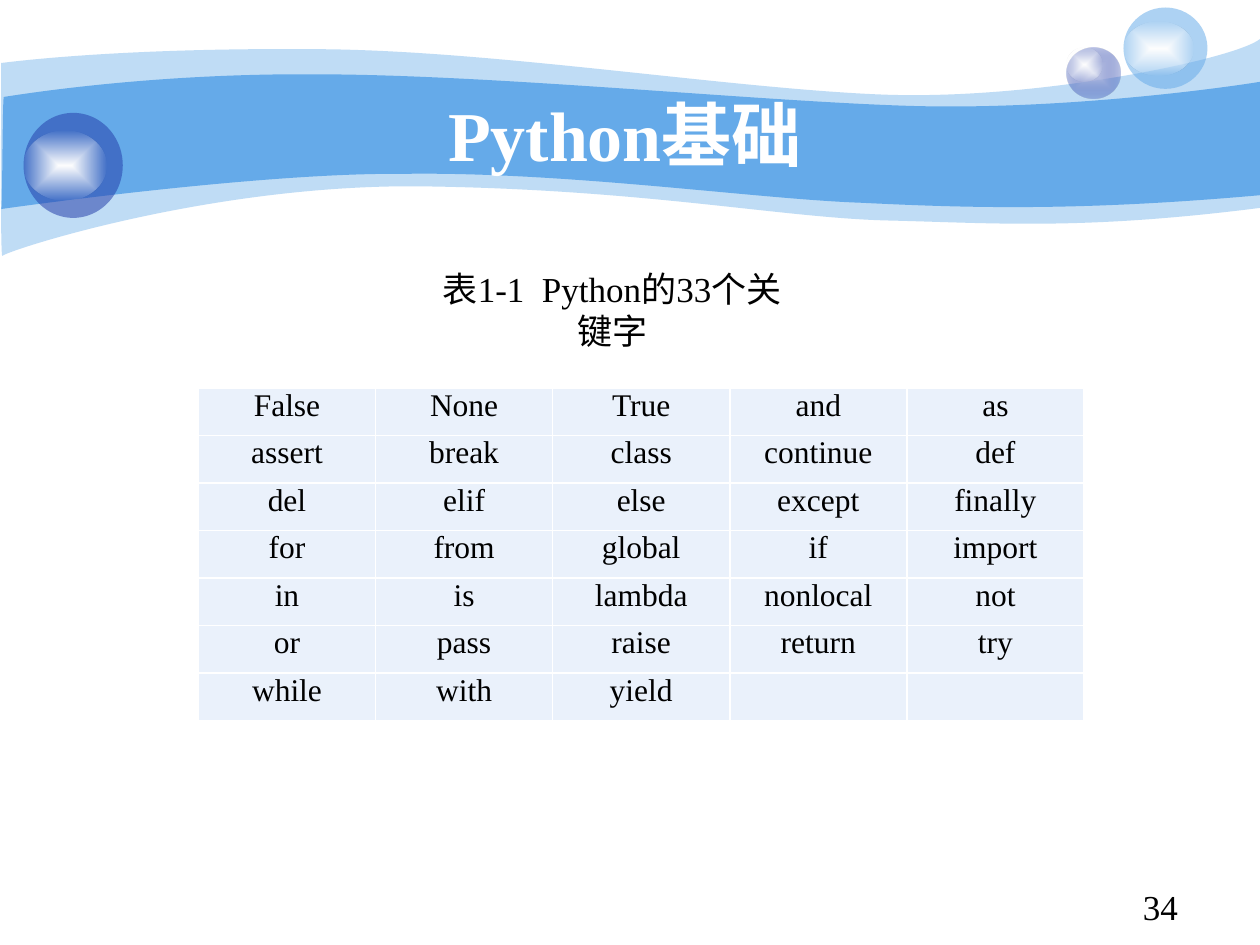
from lxml import etree
from pptx import Presentation
from pptx.dml.color import RGBColor
from pptx.enum.shapes import MSO_SHAPE
from pptx.enum.text import MSO_ANCHOR, MSO_AUTO_SIZE, PP_ALIGN
from pptx.oxml import parse_xml
from pptx.oxml.ns import nsdecls, qn
from pptx.util import Pt

SKY = RGBColor(0x65, 0xAA, 0xE9)
NAVY = RGBColor(0x23, 0x3D, 0xA9)
LAVENDER = RGBColor(0xC7, 0xCE, 0xE9)
CELL_BLUE = RGBColor(0xEA, 0xF1, 0xFB)
WHITE = RGBColor(0xFF, 0xFF, 0xFF)
BLACK = RGBColor(0, 0, 0)
FONT = "Times New Roman"


def paint(shape, *stops):
    """Fill with one (colour, opacity %) pair, or with a gradient of two from the centre."""
    shape.shadow.inherit = False
    shape.line.fill.background()
    colors = [f'<a:srgbClr val="{color}"><a:alpha val="{opacity * 1000}"/></a:srgbClr>'
              for color, opacity in stops]
    if len(colors) == 1:
        fill = f'<a:solidFill {nsdecls("a")}>{colors[0]}</a:solidFill>'
    else:
        fill = (f'<a:gradFill {nsdecls("a")} rotWithShape="1"><a:gsLst>'
                f'<a:gs pos="0">{colors[0]}</a:gs><a:gs pos="100000">{colors[1]}</a:gs></a:gsLst>'
                '<a:path path="shape"><a:fillToRect l="50000" t="50000" r="50000" b="50000"/>'
                '</a:path></a:gradFill>')
    properties = shape._element.spPr
    geometry = properties.find(qn("a:custGeom"))
    if geometry is None:
        geometry = properties.find(qn("a:prstGeom"))
    geometry.addnext(parse_xml(fill))


def write(text_frame, text, size, color, align=PP_ALIGN.CENTER, bold=False):
    text_frame.text = text
    paragraph = text_frame.paragraphs[0]
    paragraph.alignment = align
    font = paragraph.runs[0].font
    font.name, font.size, font.bold = FONT, Pt(size), bold
    font.color.rgb = color
    return paragraph


presentation = Presentation()
presentation.slide_width, presentation.slide_height = Pt(720), Pt(540)
slide = presentation.slides.add_slide(presentation.slide_layouts[5])
shapes = slide.shapes

# Wavy bands: start point, then cubic curves (three points) or straight lines (one point)
BANDS = [
    (41, (0.7, 36), [
        [(18, 33.8), (78.5, 27.4), (177.8, 28.1)], [(277.9, 28.1), (414.7, 50.4), (503.3, 54)],
        [(591.8, 57.6), (705.6, 33.8), (720, 22.3)], [(720, 118.8)],
        [(617.8, 131.8), (567.4, 127.4), (507.6, 126)],
        [(447.8, 124.6), (371.5, 108.7), (247.7, 106.6)],
        [(124.6, 103.7), (3.6, 143.3), (1.4, 146.2)], [(0, 149.8), (0.7, 54), (0.7, 36)]]),
    (100, (2.2, 55.4), [
        [(3.6, 55.4), (80.6, 41.8), (180, 42.5)], [(279.4, 42.5), (429.1, 57.6), (517.7, 60.5)],
        [(606.2, 63.4), (702.7, 49.7), (720, 46.8)], [(720, 111.6)],
        [(614.2, 121), (551.5, 118.8), (491.8, 115.9)],
        [(432, 113.8), (322.6, 97.9), (229.7, 99.4)],
        [(147.6, 98.6), (0, 119.5), (0.7, 119.5)], [(1.4, 119.5), (1.4, 55.4), (2.2, 55.4)]]),
]
for opacity, (start_x, start_y), segments in BANDS:
    builder = shapes.build_freeform(Pt(start_x), Pt(start_y))
    builder.add_line_segments([(Pt(x), Pt(y)) for *_, (x, y) in segments], close=True)
    band = builder.convert_to_shape()
    # Bend the lines into Bézier curves
    lines = list(band._element.iter(qn("a:lnTo")))
    for line, segment in zip(lines, segments):
        if len(segment) == 3:
            line.tag = qn("a:cubicBezTo")
            line.remove(line[0])
            for x, y in segment:
                etree.SubElement(line, qn("a:pt"), x=str(Pt(x) - band.left), y=str(Pt(y) - band.top))
    paint(band, (SKY, opacity))

# Glass balls: the ball, then its highlight
HIGHLIGHT = [(WHITE, 100), (WHITE, 0)]
BALLS = [
    ((609.5, 27, 30.6, 29.2), [(LAVENDER, 100), (NAVY, 31)], (609.5, 27, 20.2, 19.4)),
    ((642, 4.3, 48, 46.5), [(SKY, 53)], (642, 12.2, 40, 31)),
    ((13.5, 64.5, 56.7, 60), [(NAVY, 53)], (13.5, 74.5, 47.5, 40.3)),
]
for ball_box, ball_stops, highlight_box in BALLS:
    for box, stops in ((ball_box, ball_stops), (highlight_box, HIGHLIGHT)):
        paint(shapes.add_shape(MSO_SHAPE.OVAL, *map(Pt, box)), *stops)

# Title, brought in front of the bands
title = shapes.title
title.left, title.top, title.width, title.height = Pt(30.2), Pt(54), Pt(653.8), Pt(44.6)
title.text_frame.auto_size = MSO_AUTO_SIZE.NONE
title.text_frame.vertical_anchor = MSO_ANCHOR.MIDDLE
write(title.text_frame, "Python基础", 40, WHITE, bold=True)
shapes._spTree.append(title._element)

# Keyword table
KEYWORDS = [
    "False None True and as",
    "assert break class continue def",
    "del elif else except finally",
    "for from global if import",
    "in is lambda nonlocal not",
    "or pass raise return try",
    "while with yield",
]
COLUMNS = 5
table = shapes.add_table(len(KEYWORDS), COLUMNS, Pt(113.4), Pt(221.8), Pt(506), Pt(190)).table
table.first_row = table.horz_banding = False
for row, line in zip(table.rows, KEYWORDS):
    words = line.split()
    for column, cell in enumerate(row.cells):
        cell.fill.solid()
        cell.fill.fore_color.rgb = CELL_BLUE
        cell.margin_left = cell.margin_right = Pt(5)
        cell.margin_top = cell.margin_bottom = 0
        if column < len(words):
            paragraph = write(cell.text_frame, words[column], 18, BLACK)
            paragraph.space_before = paragraph.space_after = Pt(1)
        properties = cell._tc.get_or_add_tcPr()
        for index, side in enumerate(("lnL", "lnR", "lnT", "lnB")):
            properties.insert(index, parse_xml(
                f'<a:{side} {nsdecls("a")} w="12700"><a:solidFill>'
                f'<a:srgbClr val="{WHITE}"/></a:solidFill></a:{side}>'))

# Table caption
caption = shapes.add_textbox(Pt(236.8), Pt(162.4), Pt(226), Pt(29)).text_frame
caption.word_wrap = True
caption.vertical_anchor = MSO_ANCHOR.MIDDLE
write(caption, "表1-1  Python的33个关键字", 20, BLACK)

# Page number
page_number = shapes.add_textbox(Pt(646), Pt(502.6), Pt(38.2), Pt(31.7)).text_frame
page_number.word_wrap = False
write(page_number, "34", 20, BLACK, align=PP_ALIGN.LEFT)

presentation.save("out.pptx")
